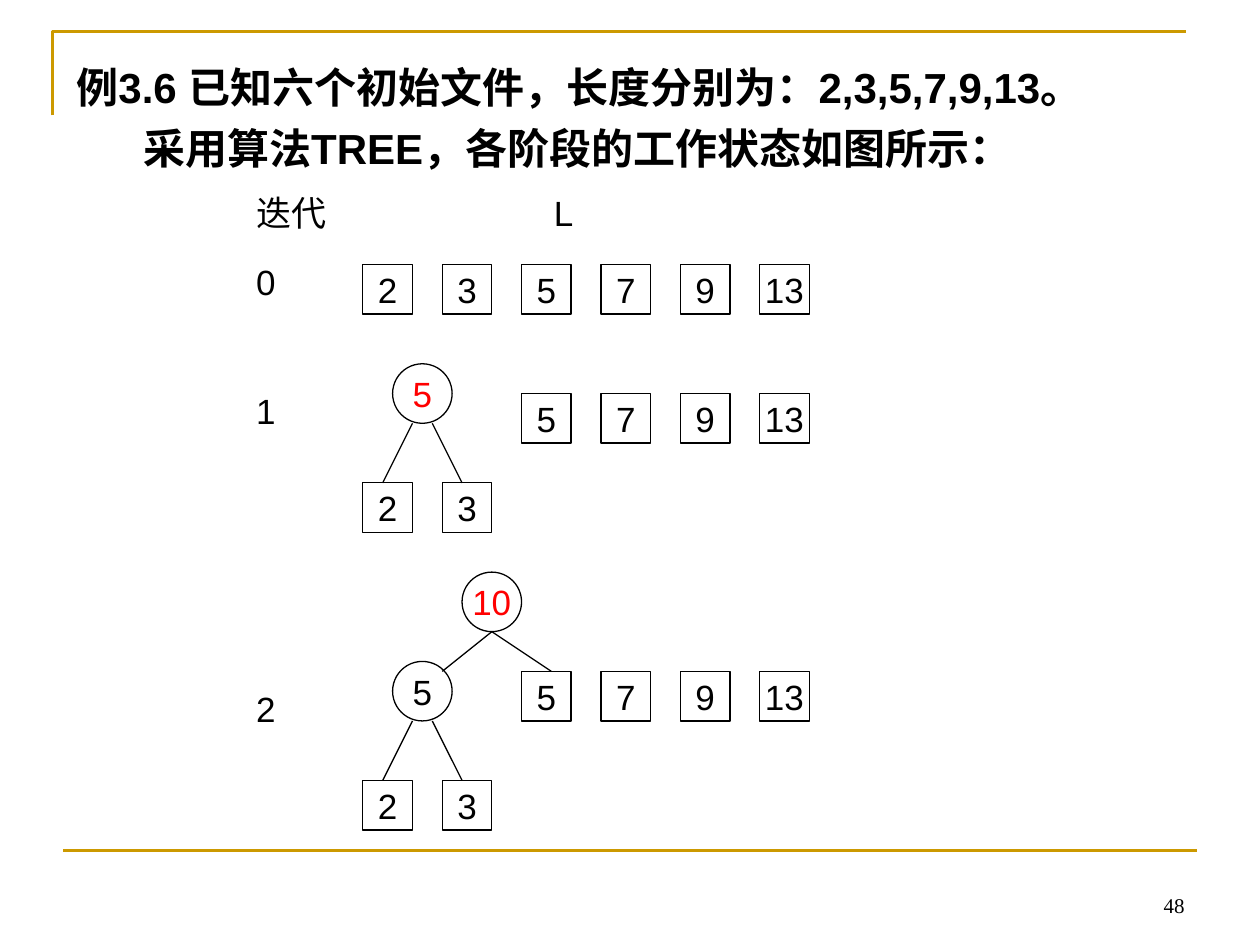
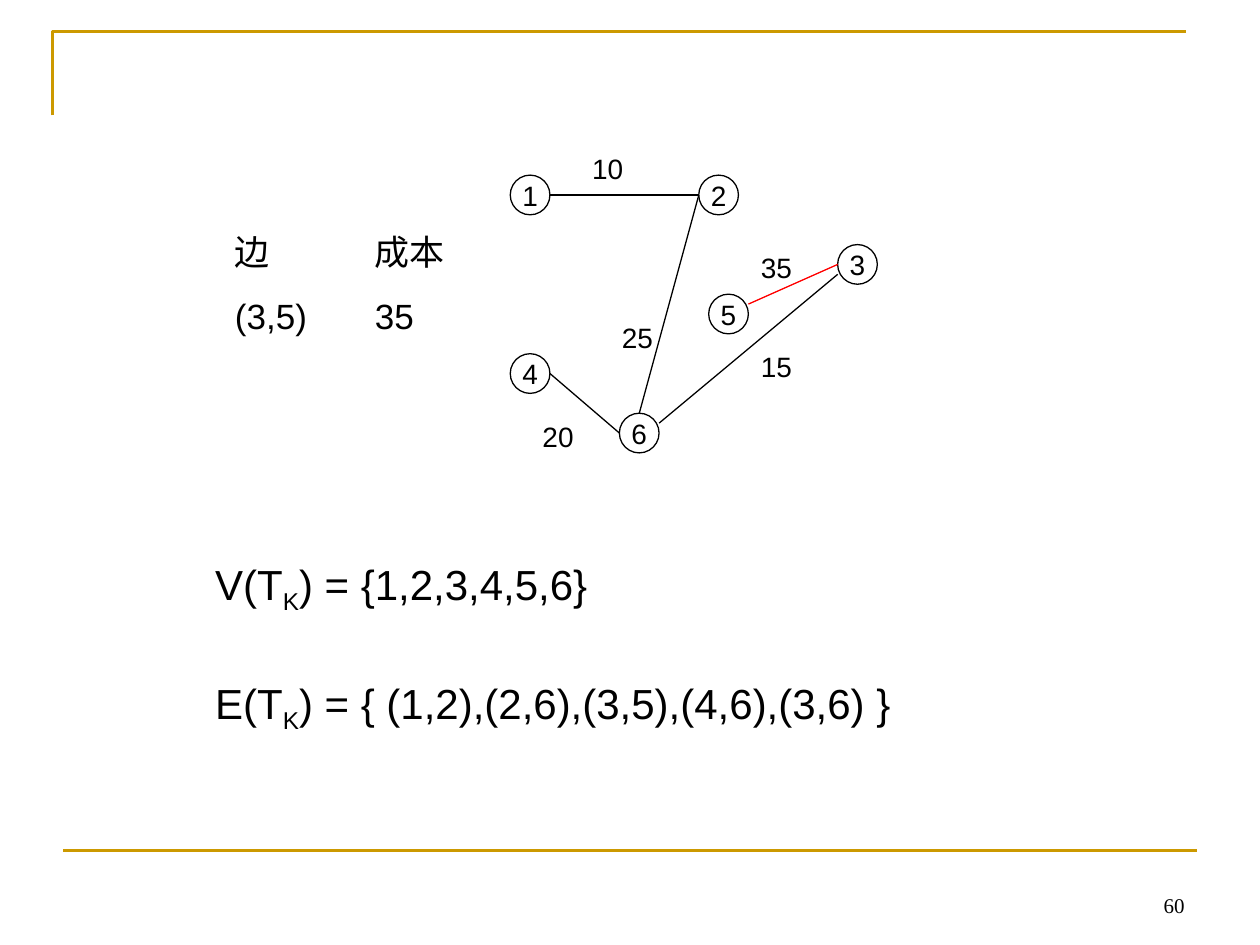
from dataclasses import dataclass
from typing import NamedTuple

from lxml.etree import SubElement
from pptx import Presentation
from pptx.dml.color import RGBColor
from pptx.enum.shapes import MSO_CONNECTOR, MSO_SHAPE
from pptx.enum.text import MSO_ANCHOR, MSO_AUTO_SIZE, PP_ALIGN
from pptx.oxml.ns import qn
from pptx.slide import Slide
from pptx.text.text import TextFrame
from pptx.util import Inches, Pt


# Theme: colours, fonts and type sizes
@dataclass(frozen=True)
class Theme:
    ink: str = "000000"
    gold: str = "CC9900"
    red: str = "FF0000"
    sans: str = "Arial"
    serif: str = "Times New Roman"
    head: int = 24
    text: int = 20
    small: int = 16
    foot: int = 12
    thin: float = 0.75
    band: float = 1.5


THEME = Theme()


# Grid: cells counted from an origin in inches
@dataclass(frozen=True)
class Grid:
    left: float
    top: float
    cell: float

    def x(self, col: float) -> int:
        return Inches(self.left + col * self.cell)

    def y(self, row: float) -> int:
        return Inches(self.top + row * self.cell)

    def size(self, cells: float) -> int:
        return Inches(cells * self.cell)


UNIT = 2 / 25.4  # two millimetres
PAGE = Grid(0, 0, 1 / 12)
TREE = Grid(2.88, 2.1, UNIT)
GRAPH = Grid(4.05, 1.39, UNIT)


class Node(NamedTuple):
    text: str
    col: float
    row: float
    size: float
    round: bool = True
    color: str = THEME.ink
    points: int = THEME.text


class Edge(NamedTuple):
    x1: float
    y1: float
    x2: float
    y2: float
    color: str = THEME.ink
    width: float = THEME.thin


class Label(NamedTuple):
    text: str
    col: float
    row: float
    wide: float
    high: float
    points: int = THEME.text


def style(frame: TextFrame, points: int, color: str = THEME.ink,
          name: str = THEME.sans, bold: bool = False) -> None:
    for para in frame.paragraphs:
        for run in para.runs:
            font = run.font
            font.size, font.name, font.bold = Pt(points), name, bold
            font.color.rgb = RGBColor.from_string(color)


def add_node(slide: Slide, grid: Grid, node: Node) -> None:
    kind = MSO_SHAPE.OVAL if node.round else MSO_SHAPE.RECTANGLE
    side = grid.size(node.size)
    shape = slide.shapes.add_shape(
        kind, grid.x(node.col), grid.y(node.row), side, side)
    shape.shadow.inherit = False
    shape.fill.background()
    shape.line.color.rgb = RGBColor.from_string(THEME.ink)
    shape.line.width = Pt(THEME.thin)
    frame = shape.text_frame
    frame.text = node.text
    frame.word_wrap = False
    frame.vertical_anchor = MSO_ANCHOR.MIDDLE
    frame.paragraphs[0].alignment = PP_ALIGN.CENTER
    style(frame, node.points, node.color)


def add_edge(slide: Slide, grid: Grid, edge: Edge) -> None:
    line = slide.shapes.add_connector(
        MSO_CONNECTOR.STRAIGHT, grid.x(edge.x1), grid.y(edge.y1),
        grid.x(edge.x2), grid.y(edge.y2))
    line.line.color.rgb = RGBColor.from_string(edge.color)
    line.line.width = Pt(edge.width)
    SubElement(line._element.spPr, qn("a:effectLst"))


def add_label(slide: Slide, grid: Grid, label: Label) -> TextFrame:
    box = slide.shapes.add_textbox(
        grid.x(label.col), grid.y(label.row),
        grid.size(label.wide), grid.size(label.high))
    frame = box.text_frame
    frame.text = label.text
    frame.word_wrap = True
    frame.auto_size = MSO_AUTO_SIZE.SHAPE_TO_FIT_TEXT
    for para in frame.paragraphs:
        para.space_before = Pt(label.points * 0.625)
    style(frame, label.points)
    return frame


def add_set(slide: Slide, grid: Grid, label: Label, rest: str) -> None:
    """Write a set of the tree T, with K as its subscript."""
    frame = add_label(slide, grid, label)
    para = frame.paragraphs[0]
    low = para.add_run()
    low.text = "K"
    para.add_run().text = rest
    style(frame, label.points)
    low._r.get_or_add_rPr().set("baseline", "-25000")


# Shared frame: corner, bottom rule and page number
def add_frame(slide: Slide, number: str) -> None:
    pen = slide.shapes.build_freeform(PAGE.x(5), PAGE.y(11))
    pen.add_line_segments(
        [(PAGE.x(5), PAGE.y(3)), (PAGE.x(113), PAGE.y(3))], close=False)
    corner = pen.convert_to_shape()
    corner.shadow.inherit = False
    corner.fill.background()
    corner.line.color.rgb = RGBColor.from_string(THEME.gold)
    corner.line.width = Pt(THEME.band)
    add_edge(slide, PAGE, Edge(6, 81, 114, 81, THEME.gold, THEME.band))
    frame = add_label(slide, PAGE, Label(number, 86, 82, 28, 6, THEME.foot))
    frame.auto_size = MSO_AUTO_SIZE.NONE
    frame.vertical_anchor = MSO_ANCHOR.BOTTOM
    para = frame.paragraphs[0]
    para.alignment = PP_ALIGN.RIGHT
    para.space_before = Pt(0)
    style(frame, THEME.foot, name=THEME.serif)


# Slide with the stages of the TREE algorithm
def add_title(slide: Slide) -> None:
    lines = ("例3.6 已知六个初始文件，长度分别为：2,3,5,7,9,13。\n"
             "采用算法TREE，各阶段的工作状态如图所示：")
    frame = add_label(slide, PAGE, Label(lines, 6.1, 5.3, 110.5, 17, THEME.head))
    frame.auto_size = MSO_AUTO_SIZE.NONE
    style(frame, THEME.head, bold=True)
    for para, left, first in zip(frame.paragraphs, (0.38, 0.53), (-0.38, 0)):
        para.space_before = Pt(6)
        props = para._p.get_or_add_pPr()
        props.set("marL", str(Inches(left)))
        props.set("indent", str(Inches(first)))


FILES = ("2", "3", "5", "7", "9", "13")
PITCH, BOX, RING = 8, 5, 6


def add_files(slide: Slide, row: float, start: int, stop: int) -> None:
    for i in range(start, stop):
        add_node(slide, TREE, Node(FILES[i], i * PITCH, row, BOX, False))


def add_pair(slide: Slide, row: float, color: str) -> None:
    """Join the files 2 and 3 under a ring at the given row."""
    add_node(slide, TREE, Node("5", 3, row, RING, color=color))
    add_files(slide, row + 12, 0, 2)
    for top, foot in ((5, 2), (7, 10)):
        add_edge(slide, TREE, Edge(top, row + RING, foot, row + 12))


def draw_tree(slide: Slide) -> None:
    add_title(slide)
    add_label(slide, TREE, Label("L", 18, -8, 7, 5.6))
    for text, row in (("迭代", -8), ("0", -1), ("1", 12), ("2", 42)):
        add_label(slide, TREE, Label(text, -12, row, 12, 5.6))
    for row, start in ((0, 0), (13, 2), (41, 2)):
        add_files(slide, row, start, len(FILES))
    add_pair(slide, 10, THEME.red)
    add_pair(slide, 40, THEME.ink)
    add_node(slide, TREE, Node("10", 10, 31, RING, color=THEME.red))
    for foot in (8, 19):
        add_edge(slide, TREE, Edge(13, 37, foot, 41))


# Slide with the spanning tree
SPOTS = (("1", 0, 0), ("4", 0, 18), ("6", 11, 24),
         ("2", 19, 0), ("5", 20, 12), ("3", 33, 7))
EDGES = (Edge(4, 2, 19, 2), Edge(4, 20, 11, 26), Edge(19, 2, 13, 24),
         Edge(24, 13, 33, 9, THEME.red), Edge(15, 25, 33, 10))
COSTS = (("10", 7, -3), ("20", 2, 24), ("25", 10, 14),
         ("15", 24, 17), ("35", 24, 7))


def draw_graph(slide: Slide) -> None:
    for text, col, row in SPOTS:
        add_node(slide, GRAPH, Node(text, col, row, 4, points=THEME.small))
    for edge in EDGES:
        add_edge(slide, GRAPH, edge)
    for text, col, row in COSTS:
        add_label(slide, GRAPH, Label(text, col, row, 7, 4.7, THEME.small))
    for text, col in (("边\n(3,5)", -29), ("成本\n35", -14.9)):
        add_label(slide, GRAPH, Label(text, col, 5, 10, 12))
    add_set(slide, GRAPH, Label("V(T", -31, 38, 67, 7.1, THEME.head),
            ") = {1,2,3,4,5,6}")
    add_set(slide, GRAPH, Label("E(T", -31, 50, 83, 7.1, THEME.head),
            ") = { (1,2),(2,6),(3,5),(4,6),(3,6) }")


def main() -> None:
    deck = Presentation()
    deck.slide_width, deck.slide_height = Inches(10), Inches(7.5)
    for number, draw in (("48", draw_tree), ("60", draw_graph)):
        slide = deck.slides.add_slide(deck.slide_layouts[6])
        add_frame(slide, number)
        draw(slide)
    deck.save("out.pptx")


if __name__ == "__main__":
    main()
